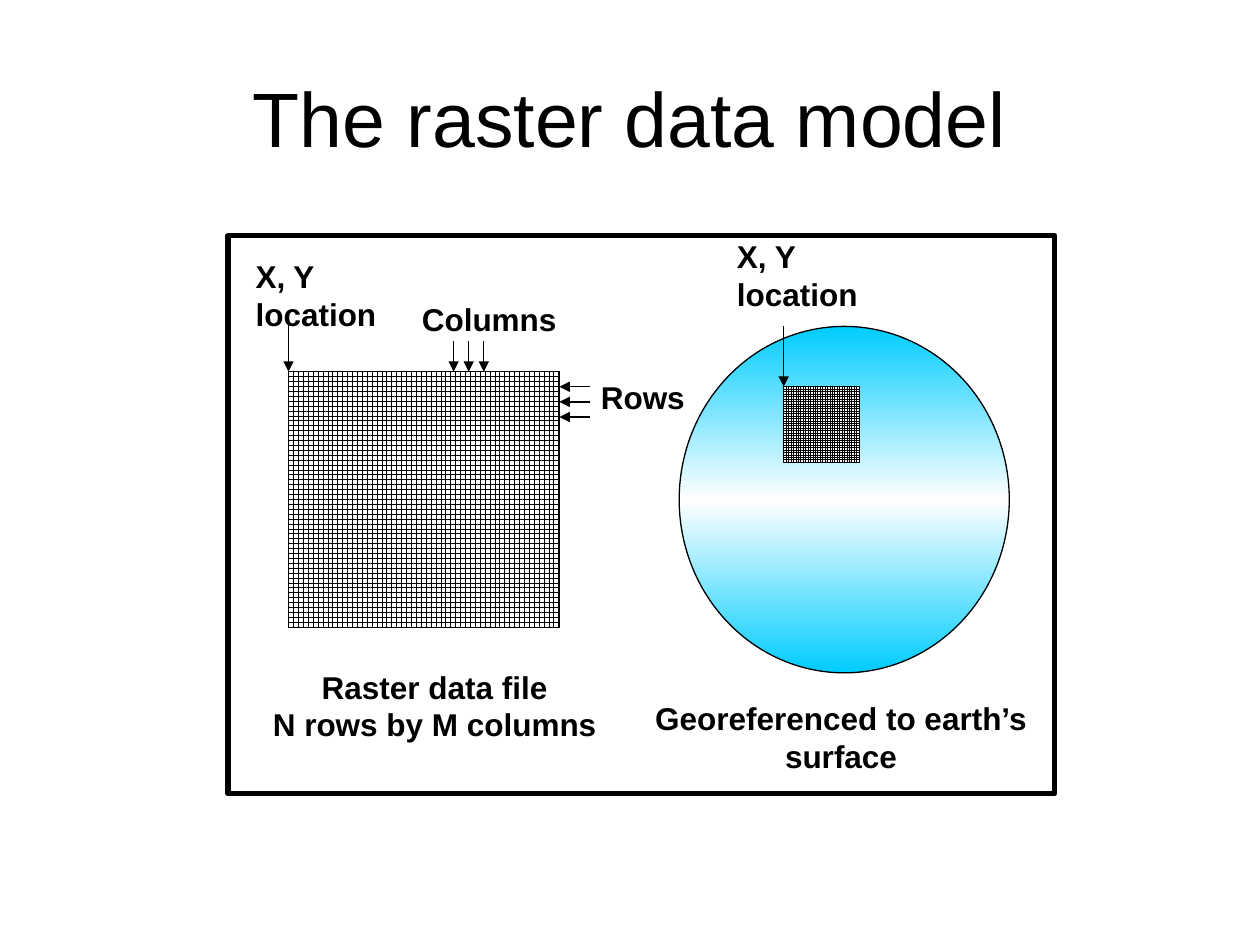
from copy import deepcopy

from pptx import Presentation
from pptx import util as u
from pptx.dml.color import RGBColor
from pptx.enum import dml, shapes, text
from pptx.oxml.ns import qn
from lxml import etree

COLORS = {"ink": "000000", "paper": "FFFFFF", "sky": "00CCFF"}
FONT = "Arial"
STEP = 0.12


def color(name):
    return RGBColor.from_string(COLORS[name])


def write_text(frame, lines, size=18, bold=True, align=text.PP_ALIGN.LEFT,
               anchor=text.MSO_ANCHOR.TOP):
    frame.word_wrap = True
    frame.auto_size = text.MSO_AUTO_SIZE.NONE
    frame.vertical_anchor = anchor
    for index, line in enumerate(lines):
        para = frame.add_paragraph() if index else frame.paragraphs[0]
        para.alignment = align
        span = para.add_run()
        span.text = line
        span.font.name = FONT
        span.font.size = u.Pt(size)
        span.font.bold = bold
        span.font.color.rgb = color("ink")


def add_label(page, left, top, width, height, *lines, **style):
    label = page.shapes.add_textbox(*map(u.Inches, (left, top, width, height)))
    write_text(label.text_frame, lines, **style)


def add_outlined(page, kind, left, top, width, height, weight=0.75):
    shape = page.shapes.add_shape(kind, *map(u.Inches, (left, top, width, height)))
    shape.shadow.inherit = False
    shape.line.color.rgb = color("ink")
    shape.line.width = u.Pt(weight)
    return shape


def add_grid(page, left, top, width, height, pattern):
    grid = add_outlined(page, shapes.MSO_SHAPE.RECTANGLE, left, top, width, height)
    grid.fill.patterned()
    grid.fill.pattern = pattern
    grid.fill.fore_color.rgb = color("ink")
    grid.fill.back_color.rgb = color("paper")


def add_arrow(page, start_x, start_y, end_x, end_y):
    arrow = page.shapes.add_connector(
        shapes.MSO_CONNECTOR.STRAIGHT,
        *map(u.Inches, (start_x, start_y, end_x, end_y)))
    arrow.line.color.rgb = color("ink")
    arrow.line.width = u.Pt(0.75)
    etree.SubElement(arrow.line._get_or_add_ln(), qn("a:tailEnd"), type="triangle")
    etree.SubElement(arrow._element.spPr, qn("a:effectLst"))


def add_title(page, left, top, width, height):
    title = page.shapes.title
    title.left, title.top, title.width, title.height = map(
        u.Inches, (left, top, width, height))
    write_text(title.text_frame, ["The raster data model"], size=44, bold=False,
               align=text.PP_ALIGN.CENTER, anchor=text.MSO_ANCHOR.MIDDLE)


def add_frame(page, left, top, width, height):
    frame = add_outlined(page, shapes.MSO_SHAPE.RECTANGLE,
                         left, top, width, height, weight=3)
    frame.fill.solid()
    frame.fill.fore_color.rgb = color("paper")


def add_raster_file(page, left, top, width, height):
    right = left + width
    add_grid(page, left, top, width, height, dml.MSO_PATTERN.LARGE_GRID)
    add_label(page, right + 0.23, top, 1.28, 0.36, "Rows")
    add_label(page, left + 0.96, top - 0.62, 1.7, 0.36, "Columns")
    for index in range(3):
        column = left + 1.31 + index * STEP
        row = top + (index + 1) * STEP
        add_arrow(page, column, top - 2 * STEP, column, top)
        add_arrow(page, right + 2 * STEP, row, right, row)
    add_arrow(page, left, top - 4 * STEP, left, top)
    add_label(page, left - 0.36, top - 0.96, 1.49, 0.48, "X, Y location")
    add_label(page, left - 0.54, top + height + 0.27, 3.4, 0.6,
              "Raster data file", "N rows by M columns",
              align=text.PP_ALIGN.CENTER)


def add_earth(page, left, top, width, height):
    earth = add_outlined(page, shapes.MSO_SHAPE.OVAL, left, top, width, height)
    earth.fill.gradient()
    earth.fill.gradient_angle = 90
    first_stop = earth._element.spPr.find(".//" + qn("a:gs"))
    first_stop.addnext(deepcopy(first_stop))
    bands = zip(earth.fill.gradient_stops, (0, 0.5, 1), ("sky", "paper", "sky"))
    for stop, position, name in bands:
        stop.position = position
        stop.color.rgb = color(name)
    grid_left, grid_top = left + 0.83, top + 4 * STEP
    add_grid(page, grid_left, grid_top, 0.6, 0.6, dml.MSO_PATTERN.SMALL_GRID)
    add_arrow(page, grid_left, top, grid_left, grid_top)
    add_label(page, left + 0.36, top - 0.76, 1.49, 0.56, "X, Y location")
    add_label(page, left - 0.31, top + height + 0.16, 3.19, 0.6,
              "Georeferenced to earth’s surface", align=text.PP_ALIGN.CENTER)


def main():
    deck = Presentation()
    deck.slide_width, deck.slide_height = u.Inches(10), u.Inches(7.5)
    page = deck.slides.add_slide(deck.slide_layouts.get_by_name("Title Only"))
    add_title(page, 0.5, 0.3, 9, 1.25)
    add_frame(page, 1.81, 1.87, 6.56, 4.43)
    add_raster_file(page, 2.29, 2.95, 2.15, 2.03)
    add_earth(page, 5.39, 2.59, 2.62, 2.75)
    deck.save("out.pptx")


if __name__ == "__main__":
    main()
